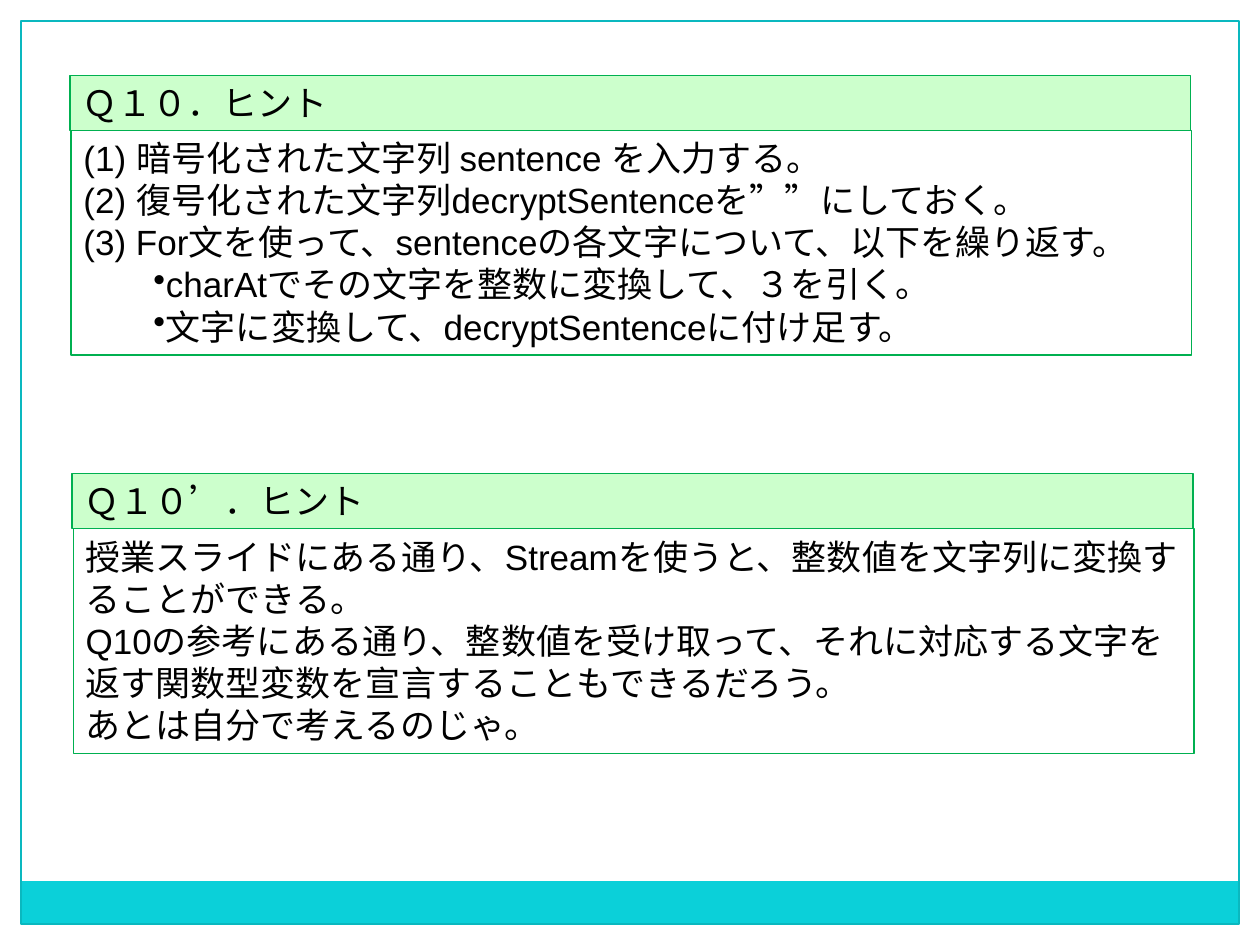
from dataclasses import dataclass

from lxml import etree
from pptx import Presentation
from pptx.dml.color import RGBColor
from pptx.enum.shapes import MSO_SHAPE
from pptx.enum.text import MSO_ANCHOR, MSO_AUTO_SIZE, PP_ALIGN
from pptx.oxml.ns import qn
from pptx.util import Pt

RECT = MSO_SHAPE.RECTANGLE
TOP = MSO_ANCHOR.TOP
GROW = MSO_AUTO_SIZE.SHAPE_TO_FIT_TEXT
LEFT = PP_ALIGN.LEFT


@dataclass(frozen=True)
class Theme:
    font: str = "Arial"
    size: float = 20
    line_width: float = 0.75
    text: RGBColor = RGBColor(0x00, 0x00, 0x00)
    band: RGBColor = RGBColor(0x0B, 0xD0, 0xD9)
    frame: RGBColor = RGBColor(0x0A, 0xB8, 0xBF)
    header: RGBColor = RGBColor(0xCC, 0xFF, 0xCC)
    border: RGBColor = RGBColor(0x00, 0xB0, 0x50)


@dataclass(frozen=True)
class Box:
    left: float
    top: float
    width: float
    height: float


@dataclass(frozen=True)
class Line:
    text: str
    bullet: bool = False


@dataclass(frozen=True)
class Hint:
    left: float
    top: float
    title: str
    lines: tuple[Line, ...]


THEME = Theme()
SLIDE_W, SLIDE_H = 720, 540
FRAME = Box(12, 12, 696, 516)
BAND = Box(12, 503.5, 696, 24.5)
HINT_W, HEADER_H, BODY_H = 640.5, 31.5, 128.2
BODY_SHIFT = 0.6
BULLET_LEFT, BULLET_GAP = 40, 7

HINTS = (
    Hint(40, 43.2, "Ｑ１０．ヒント", (
        Line("(1) 暗号化された文字列 sentence を入力する。"),
        Line("(2) 復号化された文字列decryptSentenceを””にしておく。"),
        Line("(3) For文を使って、sentenceの各文字について、以下を繰り返す。"),
        Line("charAtでその文字を整数に変換して、３を引く。", bullet=True),
        Line("文字に変換して、decryptSentenceに付け足す。", bullet=True),
    )),
    Hint(41.2, 270.7, "Ｑ１０’．ヒント", (
        Line("授業スライドにある通り、Streamを使うと、整数値を文字列に変換することができる。"),
        Line("Q10の参考にある通り、整数値を受け取って、それに対応する文字を"
             "返す関数型変数を宣言することもできるだろう。"),
        Line("あとは自分で考えるのじゃ。"),
    )),
)


def add_rect(slide, box: Box, fill: RGBColor | None = None,
             line: RGBColor | None = None):
    sp = slide.shapes.add_shape(RECT, Pt(box.left), Pt(box.top),
                                Pt(box.width), Pt(box.height))
    sp.shadow.inherit = False
    if fill is None:
        sp.fill.background()
    else:
        sp.fill.solid()
        sp.fill.fore_color.rgb = fill
    if line is None:
        sp.line.fill.background()
    else:
        sp.line.color.rgb = line
        sp.line.width = Pt(THEME.line_width)
    return sp


def add_bullet(p) -> None:
    """Give the paragraph a hanging bullet."""
    pPr = p._p.get_or_add_pPr()
    pPr.set("marL", str(Pt(BULLET_LEFT + BULLET_GAP)))
    pPr.set("indent", str(-Pt(BULLET_GAP)))
    etree.SubElement(pPr, qn("a:buChar")).set("char", "•")


def write_lines(sp, lines: tuple[Line, ...]) -> None:
    tf = sp.text_frame
    tf.word_wrap = True
    tf.auto_size = GROW
    tf.vertical_anchor = TOP
    for i, line in enumerate(lines):
        p = tf.add_paragraph() if i else tf.paragraphs[0]
        p.text = line.text
        p.alignment = LEFT
        if line.bullet:
            add_bullet(p)
        for r in p.runs:
            r.font.name = THEME.font
            r.font.size = Pt(THEME.size)
            r.font.color.rgb = THEME.text


def add_hint(slide, hint: Hint) -> None:
    header = Box(hint.left, hint.top, HINT_W, HEADER_H)
    body = Box(hint.left + BODY_SHIFT, hint.top + HEADER_H, HINT_W, BODY_H)
    write_lines(add_rect(slide, header, THEME.header, THEME.border),
                (Line(hint.title),))
    write_lines(add_rect(slide, body, line=THEME.border), hint.lines)


def main() -> None:
    prs = Presentation()
    prs.slide_width, prs.slide_height = Pt(SLIDE_W), Pt(SLIDE_H)
    slide = prs.slides.add_slide(prs.slide_layouts[6])
    add_rect(slide, BAND, fill=THEME.band)
    add_rect(slide, FRAME, line=THEME.frame)
    for hint in HINTS:
        add_hint(slide, hint)
    prs.save("out.pptx")


if __name__ == "__main__":
    main()
